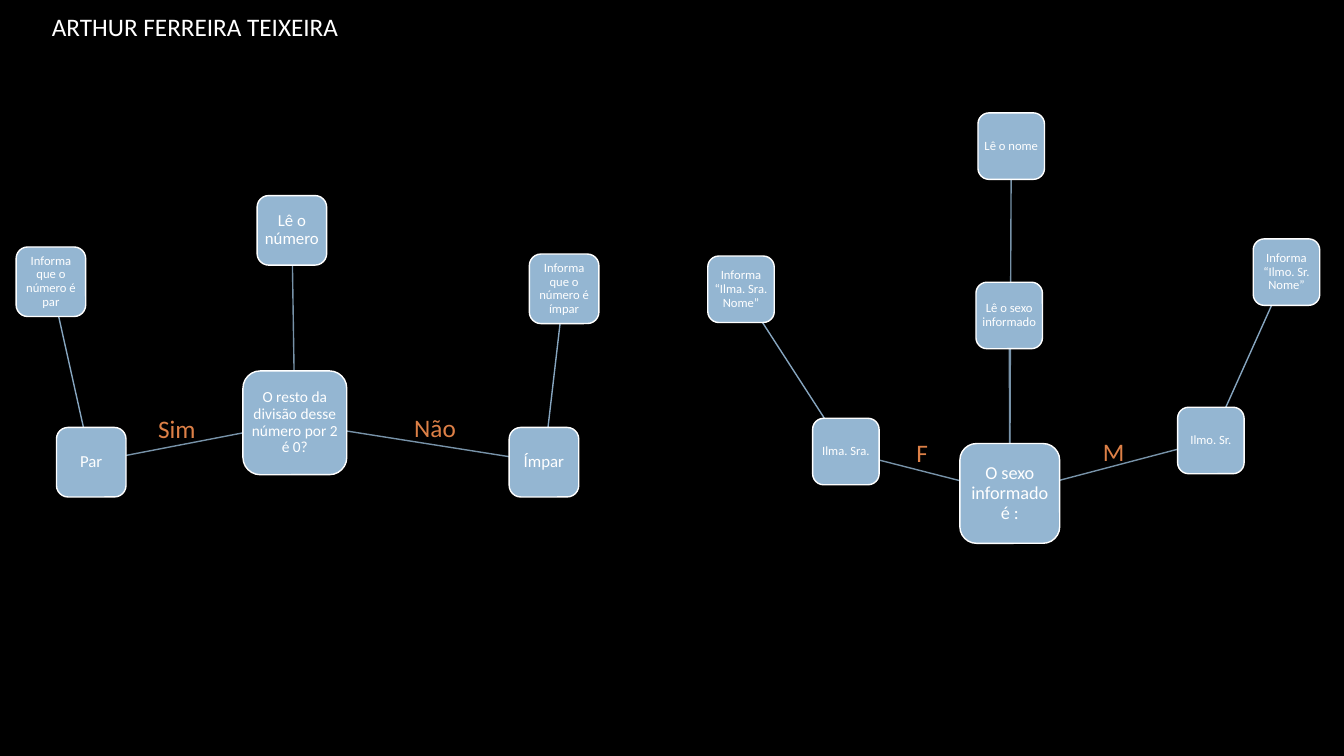
from lxml.etree import SubElement
from pptx import Presentation
from pptx.dml.color import RGBColor
from pptx.enum.shapes import MSO_CONNECTOR, MSO_SHAPE
from pptx.enum.text import MSO_ANCHOR, MSO_AUTO_SIZE, PP_ALIGN
from pptx.oxml.ns import qn
from pptx.util import Inches, Pt

COLORS = {
    "background": "000000", "box": "94B6D2", "white": "FFFFFF", "label": "DD8047",
    "inner": "7792A8", "outer": "86A5BF",
}
FONT = "Calibri"
TITLE = "ARTHUR FERREIRA TEIXEIRA"

# Boxes: key -> (text, left, top, side, font size); labels: (text, left, top, width)
FLOWS = [
    {
        "boxes": {
            "question": ("O resto da divisão desse número por 2 é 0?", 2.41, 3.68, 1.03, 11),
            "read": ("Lê o número", 2.55, 1.94, 0.69, 12),
            "odd": ("Ímpar", 5.05, 4.24, 0.69, 12),
            "tell odd": ("Informa que o número é ímpar", 5.25, 2.52, 0.69, 9),
            "even": ("Par", 0.56, 4.24, 0.69, 12),
            "tell even": ("Informa que o número é par", 0.16, 2.45, 0.69, 9),
        },
        "inner": [("question", "even"), ("question", "odd"), ("question", "read")],
        "outer": [("odd", "tell odd"), ("even", "tell even")],
        "labels": [("Sim", 1.47, 4.05, 0.58), ("Não", 4.01, 4.04, 0.62)],
    },
    {
        "boxes": {
            "question": ("O sexo informado é :", 9.52, 4.4, 0.99, 13),
            "name": ("Lê o nome", 9.7, 1.12, 0.66, 9),
            "sex": ("Lê o sexo informado", 9.68, 2.8, 0.66, 9),
            "male": ("Ilmo. Sr.", 11.68, 4.04, 0.66, 9),
            "tell male": ("Informa “Ilmo. Sr. Nome”", 12.43, 2.37, 0.66, 9),
            "female": ("Ilma. Sra.", 8.06, 4.15, 0.66, 9),
            "tell female": ("Informa “Ilma. Sra. Nome”", 7.02, 2.54, 0.66, 9),
        },
        "inner": [("question", "female"), ("question", "male"),
                  ("question", "sex"), ("question", "name")],
        "outer": [("male", "tell male"), ("female", "tell female")],
        "labels": [("F", 8.99, 4.29, 0.32), ("M", 10.84, 4.28, 0.42)],
    },
]


def color(name):
    """Return the named colour."""
    return RGBColor.from_string(COLORS[name])


def write(shape, text, size, color_name, alignment=PP_ALIGN.CENTER):
    """Put one formatted paragraph into a shape and return it."""
    shape.text_frame.text = text
    paragraph = shape.text_frame.paragraphs[0]
    paragraph.alignment = alignment
    paragraph.font.name = FONT
    paragraph.font.size = Pt(size)
    paragraph.font.color.rgb = color(color_name)
    return paragraph


def edge_point(box, target):
    """Return where the line from box centre to target centre leaves the box."""
    (x, y), (target_x, target_y) = [
        (left + side / 2, top + side / 2) for _, left, top, side, _ in (box, target)]
    dx, dy = target_x - x, target_y - y
    share = box[3] / 2 / max(abs(dx), abs(dy))
    return Inches(x + dx * share), Inches(y + dy * share)


def add_link(slide, start, end, color_name):
    """Draw a line between the facing edges of two boxes."""
    line = slide.shapes.add_connector(
        MSO_CONNECTOR.STRAIGHT, *edge_point(start, end), *edge_point(end, start))
    line.line.color.rgb = color(color_name)
    line.line.width = Pt(1)
    SubElement(line._element.spPr, qn("a:effectLst"))


def add_box(slide, text, left, top, side, size):
    """Draw a rounded square with its text."""
    shape = slide.shapes.add_shape(
        MSO_SHAPE.ROUNDED_RECTANGLE, *map(Inches, (left, top, side, side)))
    shape.shadow.inherit = False
    shape.fill.solid()
    shape.fill.fore_color.rgb = color("box")
    shape.line.color.rgb = color("white")
    shape.line.width = Pt(1)
    frame = shape.text_frame
    frame.word_wrap = True
    frame.vertical_anchor = MSO_ANCHOR.MIDDLE
    frame.margin_left = frame.margin_right = Inches(0.03)
    frame.margin_top = frame.margin_bottom = Inches(0.03)
    write(shape, text, size, "white").line_spacing = 0.9


def add_label(slide, text, left, top, width):
    """Write the answer beside a branch."""
    label = slide.shapes.add_textbox(*map(Inches, (left, top, width, 0.4)))
    label.text_frame.word_wrap = False
    label.text_frame.auto_size = MSO_AUTO_SIZE.SHAPE_TO_FIT_TEXT
    write(label, text, 18, "label", PP_ALIGN.LEFT)


def add_flow(slide, flow):
    """Draw one flow: links behind, then boxes and labels."""
    boxes = flow["boxes"]
    for kind in ("inner", "outer"):
        for start, end in flow[kind]:
            add_link(slide, boxes[start], boxes[end], kind)
    for box in boxes.values():
        add_box(slide, *box)
    for label in flow["labels"]:
        add_label(slide, *label)


def format_title(title):
    """Place and format the title."""
    title.left, title.top, title.width, title.height = map(Inches, (0, 0.13, 3.87, 0.27))
    title.text_frame.auto_size = MSO_AUTO_SIZE.NONE
    title.text_frame.vertical_anchor = MSO_ANCHOR.MIDDLE
    write(title, TITLE, 18, "white")
    title.fill.solid()
    title.fill.fore_color.rgb = color("background")
    title.line.color.rgb = color("background")
    title.line.width = Pt(1)


presentation = Presentation()
presentation.slide_width, presentation.slide_height = Inches(13.33), Inches(7.5)
slide = presentation.slides.add_slide(presentation.slide_layouts[5])
slide.background.fill.solid()
slide.background.fill.fore_color.rgb = color("background")
format_title(slide.shapes.title)
for flow in FLOWS:
    add_flow(slide, flow)
presentation.save("out.pptx")
